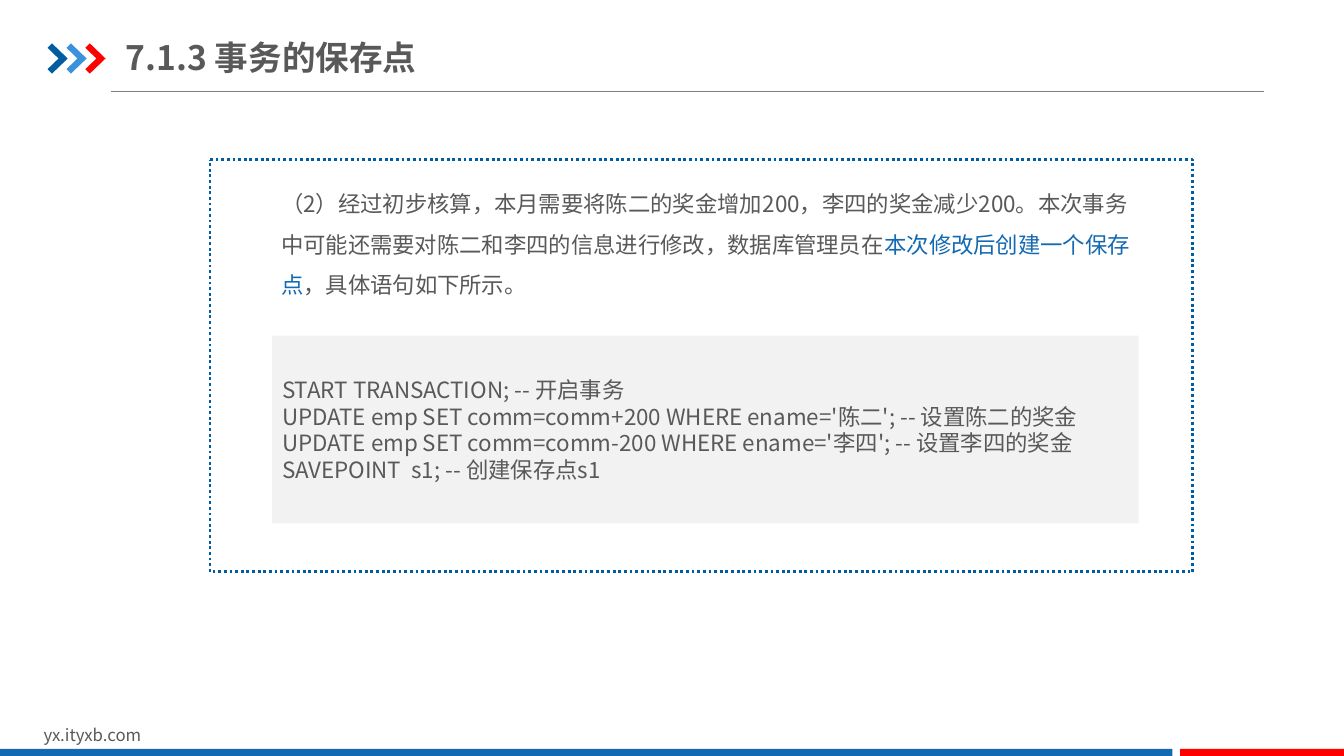
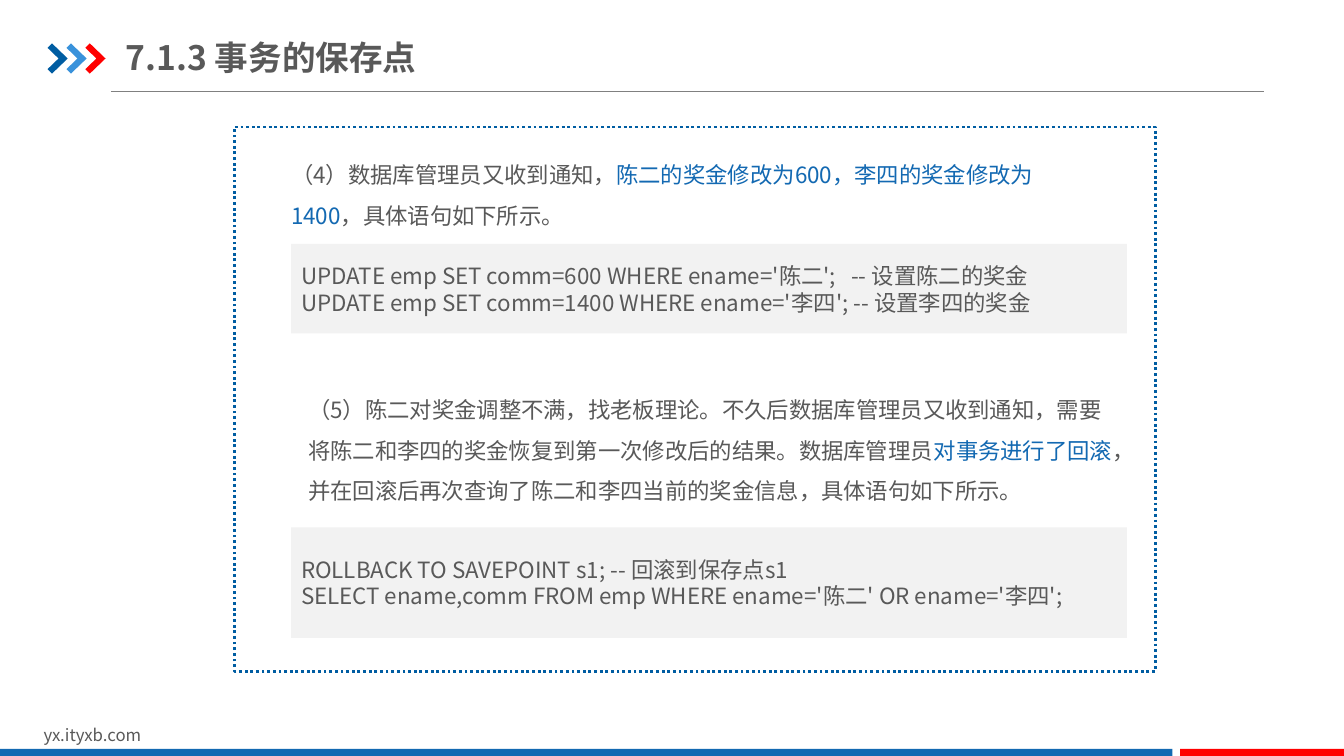
from dataclasses import dataclass

from lxml import etree
from pptx import Presentation
from pptx.dml.color import RGBColor
from pptx.enum.dml import MSO_LINE
from pptx.enum.shapes import MSO_CONNECTOR, MSO_SHAPE
from pptx.enum.text import MSO_ANCHOR, MSO_AUTO_SIZE, PP_ALIGN
from pptx.oxml.ns import qn
from pptx.util import Pt

RECT, PROCESS = MSO_SHAPE.RECTANGLE, MSO_SHAPE.FLOWCHART_PROCESS
STRAIGHT, DOTTED = MSO_CONNECTOR.STRAIGHT, MSO_LINE.ROUND_DOT
LEFT, MIDDLE = PP_ALIGN.LEFT, MSO_ANCHOR.MIDDLE
TITLE_ONLY = 5


@dataclass(frozen=True)
class Theme:
    font: str = "Noto Sans CJK SC"
    text: RGBColor = RGBColor(0x59, 0x59, 0x59)
    accent: RGBColor = RGBColor(0x13, 0x69, 0xB2)
    navy: RGBColor = RGBColor(0x00, 0x5D, 0xA2)
    sky: RGBColor = RGBColor(0x39, 0x92, 0xDB)
    red: RGBColor = RGBColor(0xFF, 0x00, 0x00)
    rule: RGBColor = RGBColor(0x80, 0x80, 0x80)
    code_bg: RGBColor = RGBColor(0xF2, 0xF2, 0xF2)
    white: RGBColor = RGBColor(0xFF, 0xFF, 0xFF)
    title_size: int = 24
    body_size: int = 16
    footer_size: int = 12


T = Theme()

# Shared parts, in points
TITLE = "7.1.3 事务的保存点"
FOOTER = "yx.ityxb.com"
CHEVRON = [(0, 3.2), (3.2, 0), (14.4, 10.8), (3.2, 21.6), (0, 18.4), (7.9, 10.8)]
CHEVRON_X, CHEVRON_Y, CHEVRON_STEP = 34, 31, 13.5
BARS = [(0, 837.5, T.accent), (843, 117, T.red)]

# Each slide: a dotted panel, then text and code blocks inside it.
# A paragraph is a list of pieces; every second piece is highlighted.
SLIDES = [
    {
        "panel": (150, 114, 702, 294.5),
        "texts": [
            ((193.7, 123, 625, 94.3), [
                "（2）经过初步核算，本月需要将陈二的奖金增加200，李四的奖金减少200。本次"
                "事务中可能还需要对陈二和李四的信息进行修改，数据库管理员在",
                "本次修改后创建一个保存点",
                "，具体语句如下所示。"]),
        ],
        "codes": [
            ((194.4, 239.8, 619, 134), [
                "START TRANSACTION; -- 开启事务",
                "UPDATE emp SET comm=comm+200 WHERE ename='陈二'; -- 设置陈二的奖金",
                "UPDATE emp SET comm=comm-200 WHERE ename='李四'; -- 设置李四的奖金",
                "SAVEPOINT  s1; -- 创建保存点s1"]),
        ],
    },
    {
        "panel": (167.8, 90.7, 657.4, 388.8),
        "texts": [
            ((200.9, 102.2, 591, 65.5), [
                "（4）数据库管理员又收到通知，",
                "陈二的奖金修改为600，李四的奖金修改为1400",
                "，具体语句如下所示。"]),
            ((213, 270, 591, 94.3), [
                "（5）陈二对奖金调整不满，找老板理论。不久后数据库管理员又收到通知，需要"
                "将陈二和李四的奖金恢复到第一次修改后的结果。数据库管理员",
                "对事务进行了回滚",
                "，并在回滚后再次查询了陈二和李四当前的奖金信息，具体语句如下所示。"]),
        ],
        "codes": [
            ((208, 174.2, 597, 64), [
                "UPDATE emp SET comm=600 WHERE ename='陈二';   -- 设置陈二的奖金",
                "UPDATE emp SET comm=1400 WHERE ename='李四'; -- 设置李四的奖金"]),
            ((208, 376.6, 597, 79), [
                "ROLLBACK TO SAVEPOINT s1; -- 回滚到保存点s1",
                "SELECT ename,comm FROM emp WHERE ename='陈二' OR ename='李四';"]),
        ],
    },
]


def style(p, size, bold=False):
    """Format a whole paragraph, Latin and East Asian text alike."""
    p.alignment = LEFT
    f = p.font
    f.size, f.bold, f.name = Pt(size), bold, T.font
    f.color.rgb = T.text
    ea = etree.SubElement(p._p.pPr.find(qn("a:defRPr")), qn("a:ea"))
    ea.set("typeface", T.font)


def paint(shape, fill):
    """Give a shape a flat fill without outline or shadow."""
    shape.shadow.inherit = False
    shape.fill.solid()
    shape.fill.fore_color.rgb = fill
    shape.line.fill.background()


prs = Presentation()
prs.slide_width, prs.slide_height = Pt(960), Pt(540)

for content in SLIDES:
    s = prs.slides.add_slide(prs.slide_layouts[TITLE_ONLY])
    shapes = s.shapes

    # Title
    title = shapes.title
    title.left, title.top, title.width, title.height = Pt(90), Pt(21), Pt(307), Pt(39.6)
    tf = title.text_frame
    tf.text = TITLE
    tf.auto_size, tf.vertical_anchor = MSO_AUTO_SIZE.NONE, MIDDLE
    tf.margin_left = tf.margin_right = 0
    tf.margin_top = tf.margin_bottom = Pt(5)
    style(tf.paragraphs[0], T.title_size, bold=True)

    # Rule under the title
    rule = shapes.add_connector(STRAIGHT, Pt(79.2), Pt(65.5), Pt(903), Pt(65.5))
    rule.line.color.rgb, rule.line.width = T.rule, Pt(0.75)
    etree.SubElement(rule._element.spPr, qn("a:effectLst"))

    # Chevrons beside the title
    for i, color in enumerate((T.navy, T.sky, T.red)):
        x0 = CHEVRON_X + i * CHEVRON_STEP
        points = [(Pt(x0 + x), Pt(CHEVRON_Y + y)) for x, y in CHEVRON]
        builder = shapes.build_freeform(*points[0])
        builder.add_line_segments(points[1:], close=True)
        paint(builder.convert_to_shape(), color)

    # Footer text and bars
    tf = shapes.add_textbox(Pt(24), Pt(514), Pt(229), Pt(21.8)).text_frame
    tf.word_wrap = True
    tf.text = FOOTER
    style(tf.paragraphs[0], T.footer_size)
    for x, width, color in BARS:
        paint(shapes.add_shape(RECT, Pt(x), Pt(535), Pt(width), Pt(5)), color)

    # Dotted panel
    panel = shapes.add_shape(PROCESS, *map(Pt, content["panel"]))
    paint(panel, T.white)
    panel.line.color.rgb, panel.line.width = T.navy, Pt(2)
    panel.line.dash_style = DOTTED

    # Explanations
    for box, pieces in content["texts"]:
        tf = shapes.add_textbox(*map(Pt, box)).text_frame
        tf.word_wrap = True
        p = tf.paragraphs[0]
        p.line_spacing = 1.5
        style(p, T.body_size)
        for i, piece in enumerate(pieces):
            r = p.add_run()
            r.text = piece
            if i % 2:
                r.font.color.rgb = T.accent

    # Code blocks
    for box, lines in content["codes"]:
        block = shapes.add_shape(RECT, *map(Pt, box))
        paint(block, T.code_bg)
        tf = block.text_frame
        tf.word_wrap, tf.vertical_anchor = True, MIDDLE
        tf.text = "\n".join(lines)
        for p in tf.paragraphs:
            style(p, T.body_size)

prs.save("out.pptx")
